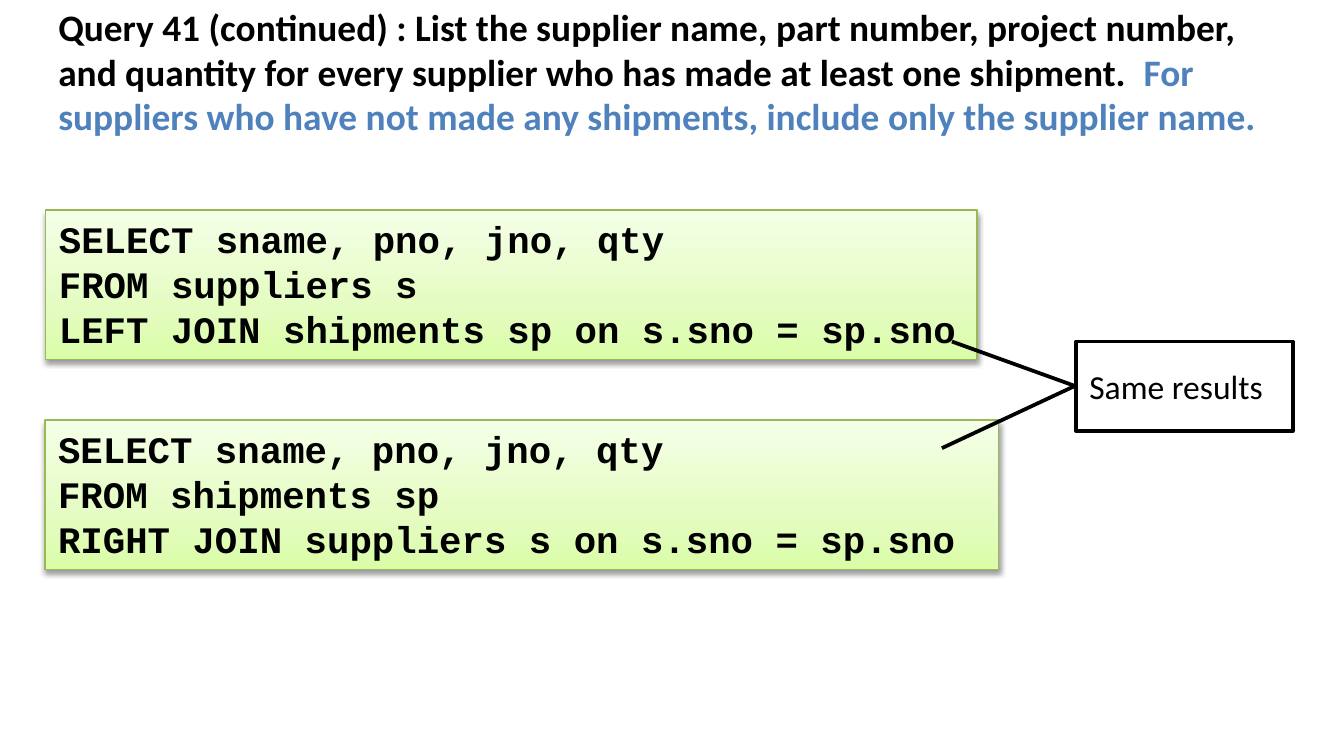
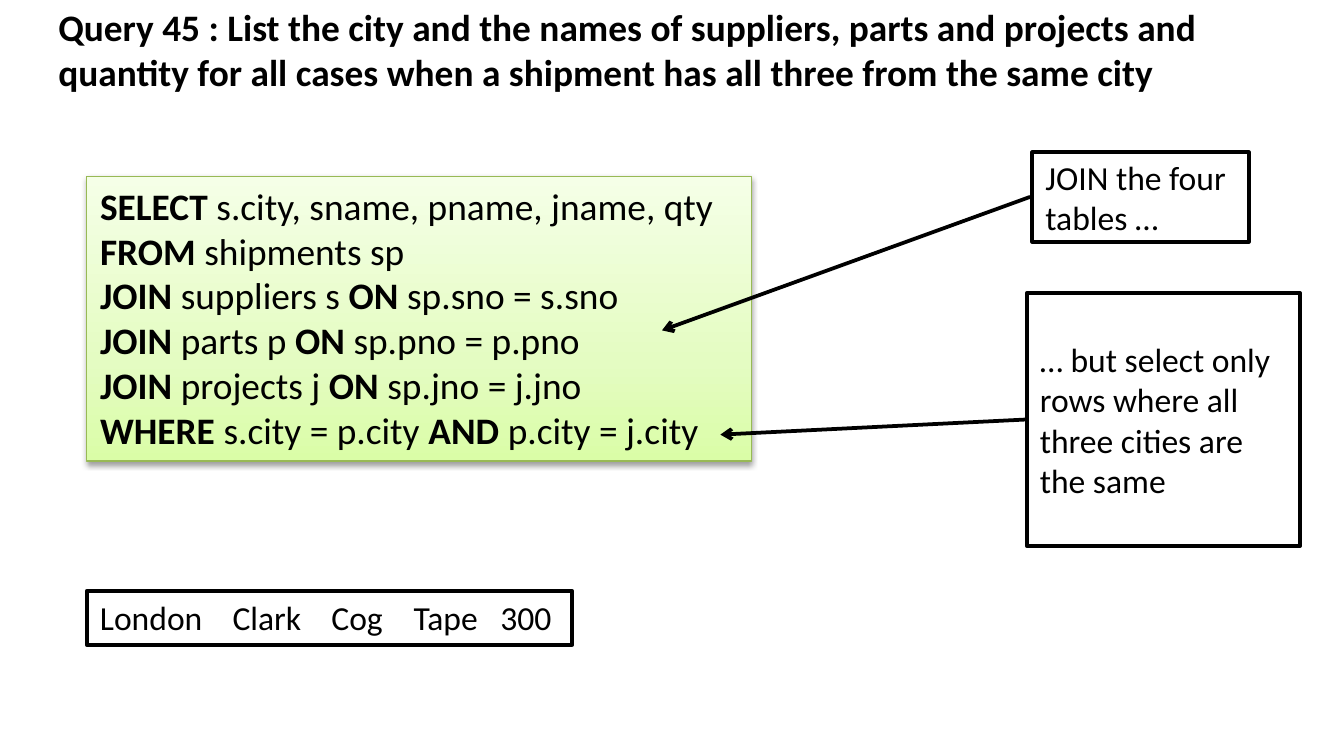
import copy
from dataclasses import dataclass

import pptx
import pptx.dml.color
import pptx.enum.dml
import pptx.enum.shapes
import pptx.enum.text
import pptx.oxml
import pptx.oxml.ns
import pptx.util
from lxml import etree

Pt = pptx.util.Pt
RGBColor = pptx.dml.color.RGBColor
Shape = pptx.enum.shapes.MSO_SHAPE
Anchor = pptx.enum.text.MSO_ANCHOR
Fit = pptx.enum.text.MSO_AUTO_SIZE
qn = pptx.oxml.ns.qn

BLACK = RGBColor(0x00, 0x00, 0x00)
WHITE = RGBColor(0xFF, 0xFF, 0xFF)
BLUE = RGBColor(0x4F, 0x81, 0xBD)
OLIVE = RGBColor(0x98, 0xB9, 0x55)
GREENS = (
    (0, RGBColor(0xDA, 0xFD, 0xA7)),
    (0.35, RGBColor(0xE4, 0xFC, 0xC2)),
    (1, RGBColor(0xF5, 0xFF, 0xE7)),
)
SANS = "Calibri"
MONO = "Courier New"
BIG = 20
SMALL = 18
SHADOW = (
    f'<a:effectLst {pptx.oxml.ns.nsdecls("a")}>'
    '<a:outerShdw blurRad="40000" dist="20000" dir="5400000" rotWithShape="0">'
    '<a:srgbClr val="000000"><a:alpha val="38000"/></a:srgbClr>'
    "</a:outerShdw></a:effectLst>"
)


@dataclass(frozen=True)
class Frame:
    left: float
    top: float
    width: float
    height: float

    def points(self) -> tuple:
        return tuple(map(Pt, (self.left, self.top, self.width, self.height)))


@dataclass(frozen=True)
class Query:
    frame: Frame
    lines: tuple
    face: str
    wrap: bool


@dataclass(frozen=True)
class Callout:
    frame: Frame
    text: str
    bends: tuple
    arrow: bool


def style(para, size: int, face: str = SANS, bold: bool = False) -> None:
    para.alignment = pptx.enum.text.PP_ALIGN.LEFT
    para.font.name = face
    para.font.size = Pt(size)
    para.font.bold = bold
    para.font.color.rgb = BLACK


def add_slide(deck, height: float, text: str, accent: str = ""):
    slide = deck.slides.add_slide(deck.slide_layouts[5])
    title = slide.shapes.title
    title.left, title.top, title.width, title.height = Frame(24, -1.5, 669, height).points()
    body = title.text_frame
    body.word_wrap = True
    body.auto_size = Fit.SHAPE_TO_FIT_TEXT
    body.vertical_anchor = Anchor.TOP
    para = body.paragraphs[0]
    style(para, BIG, bold=True)
    para.add_run().text = text
    if accent:
        run = para.add_run()
        run.text = accent
        run.font.color.rgb = BLUE
    return slide


def add_box(slide, kind, frame: Frame, color: RGBColor, weight: float):
    box = slide.shapes.add_shape(kind, *frame.points())
    box.shadow.inherit = False
    box.line.color.rgb = color
    box.line.width = Pt(weight)
    return box


def add_query(slide, query: Query) -> None:
    box = add_box(slide, Shape.RECTANGLE, query.frame, OLIVE, 0.75)
    box.fill.gradient()
    box.fill.gradient_angle = 90
    props = box._element.spPr
    stops = props.find(".//" + qn("a:gsLst"))
    stops.insert(1, copy.deepcopy(stops[0]))
    for stop, (place, color) in zip(box.fill.gradient_stops, GREENS):
        stop.position = place
        stop.color.rgb = color
    props.replace(props.find(qn("a:effectLst")), pptx.oxml.parse_xml(SHADOW))

    body = box.text_frame
    body.word_wrap = query.wrap
    body.auto_size = Fit.SHAPE_TO_FIT_TEXT
    body.vertical_anchor = Anchor.TOP
    for row, line in enumerate(query.lines):
        para = body.add_paragraph() if row else body.paragraphs[0]
        style(para, BIG, query.face, bold=True)
        for part, text in enumerate(line.split("|")):
            run = para.add_run()
            run.text = text
            if part % 2:
                run.font.bold = False


def add_callout(slide, note: Callout) -> None:
    box = add_box(slide, Shape.LINE_CALLOUT_1, note.frame, BLACK, 2)
    box.fill.background()
    for index, bend in enumerate(note.bends):
        box.adjustments[index] = bend
    if note.arrow:
        etree.SubElement(box.line._get_or_add_ln(), qn("a:tailEnd"), type="arrow")
    body = box.text_frame
    body.word_wrap = True
    body.vertical_anchor = Anchor.MIDDLE
    body.text = note.text
    style(body.paragraphs[0], SMALL)


def add_line(slide, start: tuple, end: tuple) -> None:
    line = slide.shapes.add_connector(
        pptx.enum.shapes.MSO_CONNECTOR.STRAIGHT, *map(Pt, start + end)
    )
    line.line.color.rgb = BLACK
    line.line.width = Pt(2)
    etree.SubElement(line._element.spPr, qn("a:effectLst"))


def add_result(slide, frame: Frame, cells: tuple, tabs: tuple) -> None:
    box = add_box(slide, Shape.RECTANGLE, frame, BLACK, 2)
    box.fill.solid()
    box.fill.fore_color.rgb = WHITE
    body = box.text_frame
    body.word_wrap = False
    body.auto_size = Fit.SHAPE_TO_FIT_TEXT
    body.vertical_anchor = Anchor.TOP
    body.text = "\t".join(cells)
    para = body.paragraphs[0]
    style(para, SMALL)
    props = para._p.get_or_add_pPr()
    stops = etree.Element(qn("a:tabLst"))
    for tab in tabs:
        etree.SubElement(stops, qn("a:tab"), pos=str(Pt(tab)), algn="l")
    props.find(qn("a:defRPr")).addprevious(stops)


def draw_joins(deck) -> None:
    slide = add_slide(
        deck,
        80,
        "Query 41 (continued) : List the supplier name, part number, project number, "
        "and quantity for every supplier who has made at least one shipment.  ",
        "For suppliers who have not made any shipments, include only the supplier name.",
    )
    pick = "SELECT sname, pno, jno, qty"
    left = ("FROM suppliers s", "LEFT JOIN shipments sp on s.sno = sp.sno")
    right = ("FROM shipments sp", "RIGHT JOIN suppliers s on s.sno = sp.sno")
    add_query(slide, Query(Frame(24.5, 112.5, 499, 80), (pick, *left), MONO, False))
    add_query(slide, Query(Frame(24, 225, 511, 80), (pick, *right), MONO, False))
    add_callout(
        slide,
        Callout(Frame(576.5, 183, 116, 48), "Same results", (0.5, -0.01, 1.19, -0.62), False),
    )
    add_line(slide, (576.5, 207), (510, 183))


def draw_cities(deck) -> None:
    slide = add_slide(
        deck,
        55.5,
        "Query 45 : List the city and the names of suppliers, parts and projects and "
        "quantity for all cases when a shipment has all three from the same city",
    )
    joins = (("suppliers s", "sno"), ("parts p", "pno"), ("projects j", "jno"))
    lines = (
        "SELECT |s.city, sname, pname, jname, qty",
        "FROM |shipments sp",
        *(f"JOIN |{table} |ON |sp.{key} = {table[-1]}.{key}" for table, key in joins),
        "WHERE |s.city = p.city |AND |p.city = j.city",
    )
    add_query(slide, Query(Frame(46.5, 94.5, 356, 152.5), lines, SANS, True))
    notes = (
        Callout(
            Frame(550, 157, 146.5, 135.5),
            "… but select only rows where all three cities are the same",
            (0.5, 0, 0.56, -1.12),
            True,
        ),
        Callout(
            Frame(553, 81.5, 116, 48),
            "JOIN the four tables …",
            (0.5, -0.01, 1.99, -1.71),
            True,
        ),
    )
    for note in notes:
        add_callout(slide, note)
    add_result(
        slide,
        Frame(46.5, 316.5, 260, 29),
        ("London", "Clark", "Cog", "Tape", "300"),
        (71, 124, 168, 214.5),
    )


def main() -> None:
    deck = pptx.Presentation()
    deck.slide_width = Pt(720)
    deck.slide_height = Pt(405)
    draw_joins(deck)
    draw_cities(deck)
    deck.save("out.pptx")


if __name__ == "__main__":
    main()
